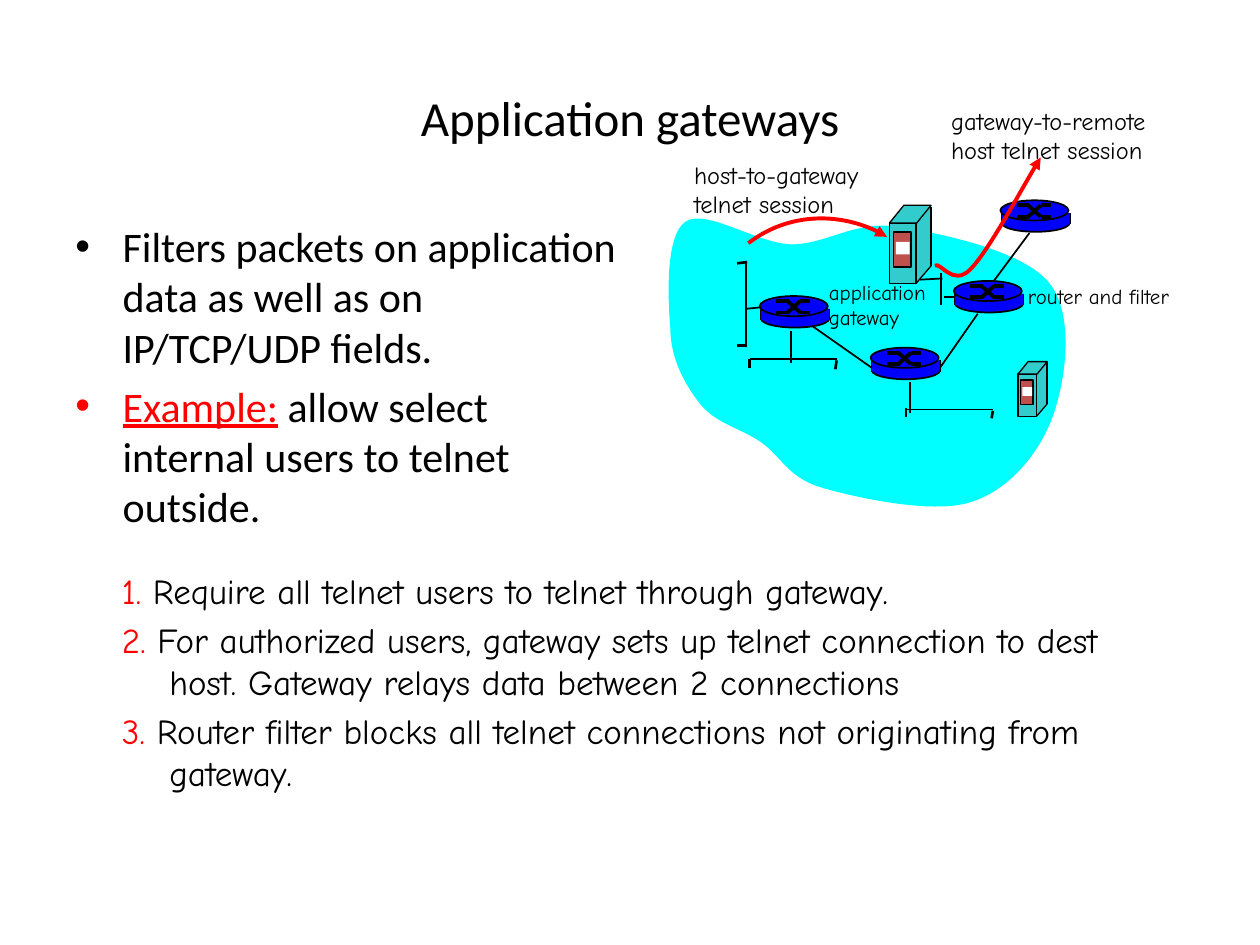
"""Build the slide on application gateways."""
from lxml.etree import SubElement
from pptx import Presentation
from pptx.dml.color import RGBColor
from pptx.enum.shapes import MSO_CONNECTOR as Connector, MSO_SHAPE as Shape
from pptx.enum.text import MSO_ANCHOR as Anchor, MSO_AUTO_SIZE as AutoSize, PP_ALIGN as Align
from pptx.oxml.ns import qn
from pptx.util import Inches, Pt

COLORS = {"black": "000000", "red": "FF0000", "cloud": "00FFFF", "router": "0000FF",
          "server": "33CCCC", "panel": "C0504D", "white": "FFFFFF"}
CLOUD = [(5.32, 2.6),
         (5.3, 2.36), (5.28, 1.87), (5.44, 1.76), (5.6, 1.65), (6, 1.93), (6.28, 1.94),
         (6.56, 1.94), (6.78, 1.75), (7.12, 1.8), (7.46, 1.85), (8.13, 1.99), (8.33, 2.25),
         (8.53, 2.5), (8.46, 3.03), (8.35, 3.32), (8.24, 3.61), (8, 3.9), (7.69, 3.99),
         (7.39, 4.08), (6.79, 3.95), (6.52, 3.87), (6.25, 3.79), (6.2, 3.62), (6.04, 3.51),
         (5.88, 3.4), (5.68, 3.36), (5.56, 3.21), (5.44, 3.06), (5.32, 2.85), (5.32, 2.6)]
HOST_SESSION = [(5.94, 1.93), (6.25, 1.69), (6.72, 1.68), (7.04, 1.88)]
REMOTE_SESSION = [(7.42, 2.11), (7.46, 2.07), (7.56, 2.28), (7.7, 2.14),
                  (7.84, 2), (8.14, 1.44), (8.26, 1.25)]
LEFT_NETWORK = [
    (5.85, 2.09, 5.93, 2.08, 1.5), (5.85, 2.74, 5.93, 2.74, 1.5), (5.92, 2.08, 5.92, 2.74, 1),
    (6.63, 2.93, 6.64, 2.86, 1.5), (5.95, 2.92, 5.95, 2.85, 1.5), (6.64, 2.85, 5.95, 2.85, 1),
    (5.93, 2.45, 6.03, 2.44, 1), (6.45, 2.59, 6.92, 2.92, 1), (7.76, 2.49, 7.46, 2.92, 1),
    (7.22, 3.03, 7.22, 3.28, 1)]
GATEWAY_LINKS = [(7.47, 2.42, 7.47, 2.17, 1), (7.3, 2.22, 7.48, 2.21, 1),
                 (7.49, 2.36, 7.58, 2.36, 1), (8.17, 1.85, 7.88, 2.24, 1)]
LOWER_NETWORK = [(6.28, 2.63, 6.28, 2.88, 1), (7.87, 3.32, 7.88, 3.26, 1.5),
                 (7.19, 3.31, 7.19, 3.24, 1.5), (7.88, 3.25, 7.19, 3.25, 1)]
ROUTERS = [(7.94, 1.59), (7.57, 2.23), (6.91, 2.76), (6.03, 2.35)]
ROUTER_CROSS = [(0.13, 0.04, 0.23, 0.04), (0.32, 0.13, 0.4, 0.13), (0.22, 0.04, 0.32, 0.13),
                (0.13, 0.13, 0.23, 0.13), (0.32, 0.04, 0.4, 0.04), (0.22, 0.13, 0.32, 0.04)]
LABELS = [(5.41, 1.22, 1.69, 0.57, 14, ["host-to-gateway", "telnet session"]),
          (7.45, 0.79, 2, 0.57, 14, ["gateway-to-remote", "host telnet session"]),
          (6.48, 2.17, 1.02, 0.5, 12, ["application", "gateway"]),
          (8.06, 2.2, 1.5, 0.3, 12, ["router and filter"])]
POINTS = [[("Filters packets on application data as well as on IP/TCP/UDP fields.", "black")],
          [("Example:", "red"), (" allow select internal users to telnet outside.", "black")]]
STEPS = ["Require all telnet users to telnet through gateway.",
         "For authorized users, gateway sets up telnet connection to dest host. "
         "Gateway relays data between 2 connections",
         "Router filter blocks all telnet connections not originating from gateway."]


def color(name):
    """Return the named colour."""
    return RGBColor.from_string(COLORS[name])


def bend(shape):
    """Turn each three line segments of a freeform into one cubic curve."""
    segments = list(shape._element.iter(qn("a:lnTo")))
    for start in range(0, len(segments), 3):
        first, *others = segments[start:start + 3]
        first.tag = qn("a:cubicBezTo")
        for segment in others:
            first.append(segment[0])
            segment.getparent().remove(segment)


class SlideBuilder:
    """Hold the style and the current slide."""

    heading_font = "Calibri"
    label_font = "Comic Neue"

    def __init__(self, presentation):
        """Add a title-only slide."""
        self.slide = presentation.slides.add_slide(presentation.slide_layouts[5])
        self.shapes = self.slide.shapes

    def format_run(self, run, size, font, name="black"):
        """Set the font of a run."""
        run.font.size, run.font.name = Pt(size), font
        run.font.color.rgb = color(name)

    def title(self, text, left, top, width, height):
        """Place and format the title."""
        shape = self.shapes.title
        shape.left, shape.top, shape.width, shape.height = map(Inches, (left, top, width, height))
        frame = shape.text_frame
        frame.text, frame.vertical_anchor = text, Anchor.MIDDLE
        frame.paragraphs[0].alignment = Align.CENTER
        self.format_run(frame.paragraphs[0].runs[0], 28, self.heading_font)

    def text_list(self, left, top, width, height, items, size, font, bullet=None):
        """Add a list with hanging indents, each item a list of coloured runs."""
        frame = self.shapes.add_textbox(*map(Inches, (left, top, width, height))).text_frame
        frame.word_wrap = True
        for index, item in enumerate(items):
            paragraph = frame.add_paragraph() if index else frame.paragraphs[0]
            properties = paragraph._p.get_or_add_pPr()
            properties.set("marL", str(Pt(27)))
            properties.set("indent", str(Pt(-27)))
            if bullet:
                SubElement(properties, qn("a:buFont"), typeface="Arial")
                SubElement(properties, qn("a:buChar"), char=bullet)
            if index:
                paragraph.space_before = Pt(size * 0.2)
            for text, name in item:
                run = paragraph.add_run()
                run.text = text
                self.format_run(run, size, font, name)
                if bullet and name == "red":
                    run.font.underline = True

    def label(self, left, top, width, height, size, lines):
        """Add an unwrapped label."""
        frame = self.shapes.add_textbox(*map(Inches, (left, top, width, height))).text_frame
        frame.text = "\n".join(lines)
        frame.word_wrap, frame.auto_size = False, AutoSize.SHAPE_TO_FIT_TEXT
        for paragraph in frame.paragraphs:
            self.format_run(paragraph.runs[0], size, self.label_font)

    def line(self, x1, y1, x2, y2, weight, shapes=None):
        """Add a straight black line."""
        connector = (shapes or self.shapes).add_connector(
            Connector.STRAIGHT, *map(Inches, (x1, y1, x2, y2)))
        connector.line.color.rgb, connector.line.width = color("black"), Pt(weight)
        SubElement(connector._element.spPr, qn("a:effectLst"))

    def block(self, shapes, kind, box, fill, weight=0):
        """Add a filled preset shape."""
        shape = shapes.add_shape(kind, *map(Inches, box))
        shape.shadow.inherit = False
        shape.fill.solid()
        shape.fill.fore_color.rgb = color(fill)
        if weight:
            shape.line.color.rgb, shape.line.width = color("black"), Pt(weight)
        else:
            shape.line.fill.background()
        if kind == Shape.PARALLELOGRAM:
            shape.adjustments[0] = 0.81

    def curve(self, points, closed=False):
        """Add a filled closed outline or a red curved arrow."""
        first, *rest = [tuple(map(Inches, point)) for point in points]
        builder = self.shapes.build_freeform(*first)
        builder.add_line_segments(rest, close=closed)
        shape = builder.convert_to_shape()
        bend(shape)
        shape.shadow.inherit = False
        if closed:
            shape.fill.solid()
            shape.fill.fore_color.rgb = color("cloud")
            shape.line.fill.background()
        else:
            shape.fill.background()
            shape.line.color.rgb, shape.line.width = color("red"), Pt(2.25)
            SubElement(shape.line._get_or_add_ln(), qn("a:tailEnd"), type="triangle")

    def server(self, left, top, scale=1):
        """Add a server tower."""
        shapes = self.shapes.add_group_shape().shapes

        def place(x, y, *size):
            """Scale and shift a position or a box."""
            return (left + x * scale, top + y * scale, *(value * scale for value in size))

        for kind, box, fill, weight in [
                (Shape.PARALLELOGRAM, (0, 0.48, 0.33, 0.14), "server", 0),
                (Shape.RECTANGLE, (0.17, 0.01, 0.15, 0.48), "server", 0),
                (Shape.RECTANGLE, (0, 0.14, 0.21, 0.48), "server", 0.75),
                (Shape.PARALLELOGRAM, (0, 0, 0.33, 0.14), "server", 0.75),
                (Shape.RECTANGLE, (0.03, 0.21, 0.14, 0.28), "panel", 0.75),
                (Shape.RECTANGLE, (0.05, 0.29, 0.11, 0.1), "white", 0)]:
            self.block(shapes, kind, place(*box), fill, weight)
        for start, end in [((0.33, 0.01), (0.33, 0.48)), ((0.33, 0.48), (0.21, 0.62))]:
            self.line(*place(*start), *place(*end), 0.75, shapes)

    def router(self, left, top):
        """Add a router disc with crossed paths."""
        shapes = self.shapes.add_group_shape().shapes
        self.block(shapes, Shape.OVAL, (left + 0.01, top + 0.11, 0.54, 0.14), "router", 1)
        for x in (left + 0.01, left + 0.55):
            self.line(x, top + 0.1, x, top + 0.19, 1, shapes)
        self.block(shapes, Shape.RECTANGLE, (left + 0.01, top + 0.1, 0.54, 0.09), "router")
        self.block(shapes, Shape.OVAL, (left, top, 0.54, 0.16), "router", 1)
        for x1, y1, x2, y2 in ROUTER_CROSS:
            self.line(left + x1, top + y1, left + x2, top + y2, 2.25, shapes)


def main():
    """Build and save the presentation."""
    presentation = Presentation()
    presentation.slide_width, presentation.slide_height = Inches(10), Inches(7.5)
    builder = SlideBuilder(presentation)
    builder.title("Application gateways", 0.5, 0.3, 9, 1.25)
    builder.text_list(0.5, 1.7, 4.53, 2.45, POINTS, 24, builder.heading_font, "•")
    builder.curve(CLOUD, closed=True)
    for link in LEFT_NETWORK:
        builder.line(*link)
    builder.server(7.06, 1.63)
    builder.server(8.08, 2.87, 0.7)
    for link in GATEWAY_LINKS:
        builder.line(*link)
    for position in ROUTERS:
        builder.router(*position)
    for link in LOWER_NETWORK:
        builder.line(*link)
    builder.curve(HOST_SESSION)
    builder.curve(REMOTE_SESSION)
    for label in LABELS:
        builder.label(*label)
    steps = [[(f"{number}.", "red"), (f" {step}", "black")]
             for number, step in enumerate(STEPS, 1)]
    builder.text_list(0.87, 4.47, 8.36, 2.18, steps, 20, builder.label_font)
    presentation.save("out.pptx")


if __name__ == "__main__":
    main()
